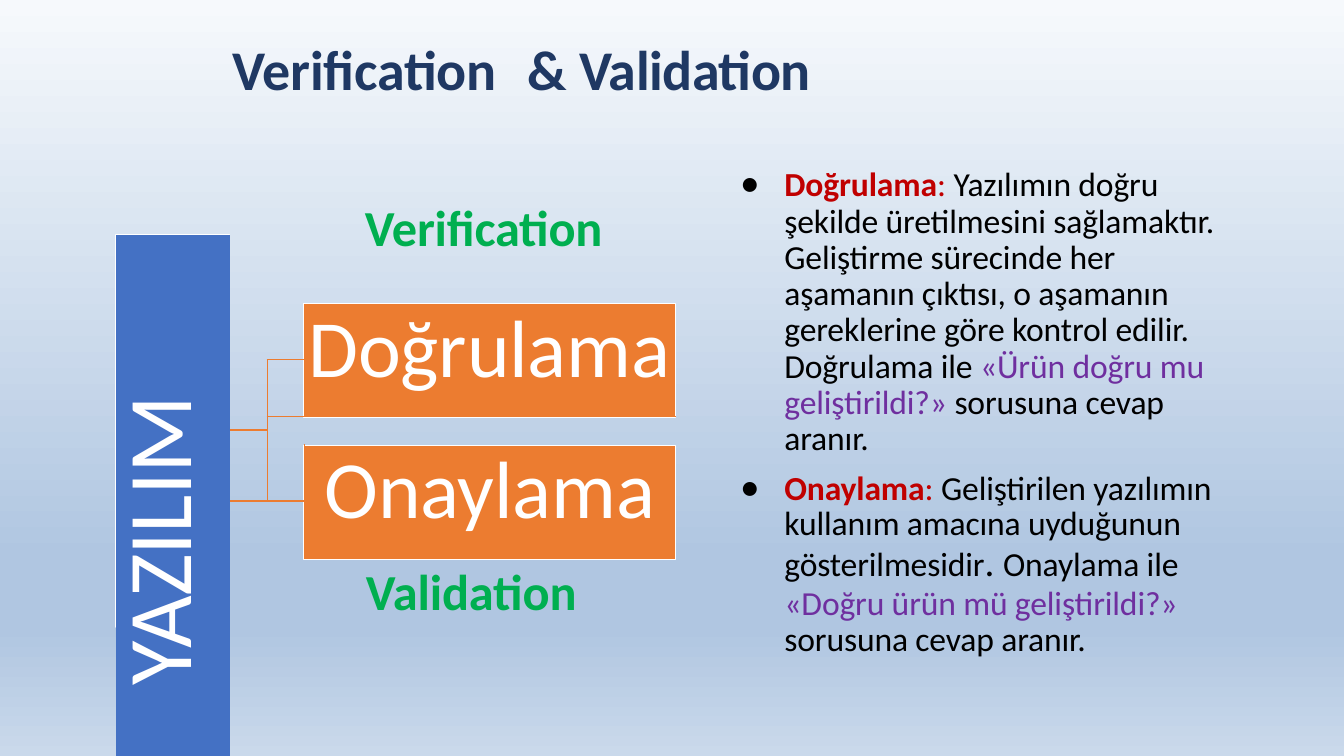
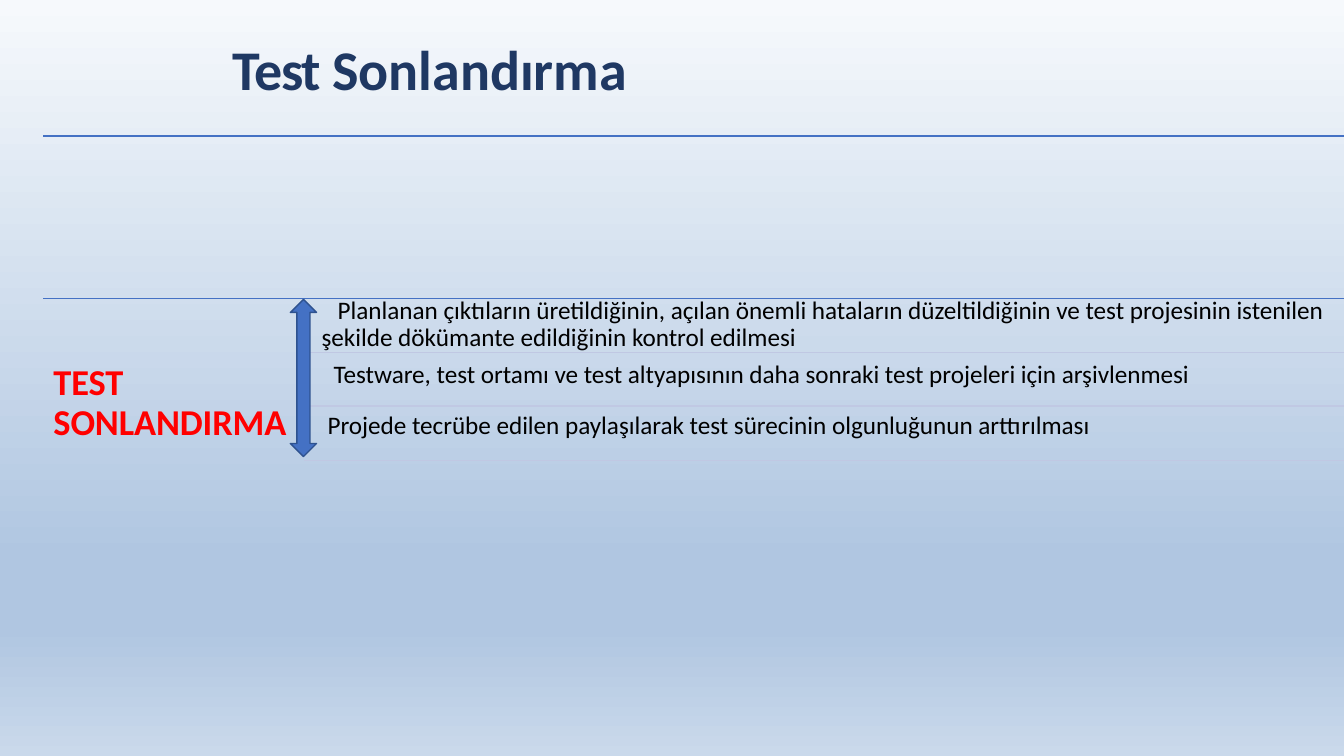
import pptx
import pptx.util
import pptx.dml.color
import pptx.enum.shapes
import pptx.enum.text
import pptx.oxml.ns
import lxml.etree

Inches = pptx.util.Inches
Pt = pptx.util.Pt
qn = pptx.oxml.ns.qn
RGB = pptx.dml.color.RGBColor.from_string
SHAPE = pptx.enum.shapes.MSO_SHAPE
CENTER = pptx.enum.text.PP_ALIGN.CENTER


class Theme:
    font = "Calibri"
    navy, blue, edge = "1F3863", "4471C4", "2E528F"
    orange, green, pale = "EC7C30", "00AF50", "C0C8E3"
    crimson, red, purple = "C00000", "FF0000", "6F2F9F"
    black, white = "000000", "FFFFFF"
    sky = [(0, "F6F9FC"), (74, "B0C6E1"), (83, "B0C6E1"), (100, "CAD9EB")]
    title, side, label, body, point, note = 40, 65, 36, 24, 28, 18
    stage, head = 58, 26
    bare = "{2D5ABB26-0587-4C30-8999-92F81FD0307C}"


def frame(slide, x, y, w, h, top=0.01):
    """Add a wrapping text box with a top inset only; return its text frame."""
    area = slide.shapes.add_textbox(Inches(x), Inches(y), Inches(w), Inches(h)).text_frame
    area.word_wrap = True
    area.margin_left = area.margin_right = area.margin_bottom = 0
    area.margin_top = Inches(top)
    return area


def put(para, text, size, tone, bold=False, gap=-0.1):
    """Add one run; gap is the letter spacing in points."""
    run = para.add_run()
    run.text = text
    run.font.name = Theme.font
    run.font.size = Pt(size)
    run.font.bold = bold
    run.font.color.rgb = RGB(tone)
    run.font._element.set("spc", str(round(gap * 100)))


deck = pptx.Presentation()
deck.slide_width, deck.slide_height = Inches(13.33), Inches(7.5)

# Shared background
fill = deck.slide_master.background.fill
fill.gradient()
fill.gradient_angle = 270
stops = deck.slide_master.element.find(".//" + qn("p:bg")).find(".//" + qn("a:gsLst"))
for stop in list(stops):
    stops.remove(stop)
for place, tone in Theme.sky:
    stop = lxml.etree.SubElement(stops, qn("a:gs"), pos=str(place * 1000))
    lxml.etree.SubElement(stop, qn("a:srgbClr"), val=tone)

# Slides and titles
titles = [
    [("Verification\t", -0.2), ("& ", 0), ("Validation", -0.3)],
    [("Test ", -1), ("Sonlandırma", 0)],
]
slides = []
for runs in titles:
    slide = deck.slides.add_slide(deck.slide_layouts[6])
    para = frame(slide, 2.31, 0.33, 5.79, 0.7).paragraphs[0]
    tabs = lxml.etree.SubElement(para._p.get_or_add_pPr(), qn("a:tabLst"))
    lxml.etree.SubElement(tabs, qn("a:tab"), pos=str(Inches(2.92)), algn="l")
    for text, gap in runs:
        put(para, text, Theme.title, Theme.navy, True, gap)
    slides.append(slide)
first, last = slides

# Rules across the closing slide
rules = [(0.43, 1.35, Theme.blue), (0.43, 2.96, Theme.blue), (3.02, 4.57, Theme.pale)]
for x, y, tone in rules:
    line = last.shapes.add_connector(
        pptx.enum.shapes.MSO_CONNECTOR.STRAIGHT,
        Inches(x), Inches(y), Inches(13.33), Inches(y))
    line.line.color.rgb = RGB(tone)
    line.line.width = Pt(1)
    lxml.etree.SubElement(line._element.spPr, qn("a:effectLst"))

# Pair of separators between the steps
path = last.shapes.build_freeform(Inches(3.02), Inches(3.5))
path.add_line_segments([(Inches(13.33), Inches(3.5))], close=False)
path.move_to(Inches(3.02), Inches(4.03))
path.add_line_segments([(Inches(13.33), Inches(4.03))], close=False)
pair = path.convert_to_shape()
pair.shadow.inherit = False
pair.fill.background()
pair.line.color.rgb = RGB(Theme.pale)
pair.line.width = Pt(1)

# Shapes: slide, kind, box, fill, outline
shapes = [
    (first, SHAPE.RECTANGLE, (1.15, 2.33, 1.13, 3.89), None, Theme.white),
    (first, SHAPE.RECTANGLE, (3.01, 3.01, 3.69, 1.13), Theme.orange, Theme.white),
    (first, SHAPE.RECTANGLE, (3.01, 4.42, 3.69, 1.13), Theme.orange, Theme.white),
    (last, SHAPE.UP_DOWN_ARROW, (2.88, 2.97, 0.26, 1.56), Theme.blue, Theme.edge),
]
for slide, kind, box, tone, edge in shapes:
    shape = slide.shapes.add_shape(kind, *map(Inches, box))
    shape.shadow.inherit = False
    if tone:
        shape.fill.solid()
        shape.fill.fore_color.rgb = RGB(tone)
    else:
        shape.fill.background()
    shape.line.color.rgb = RGB(edge)
    shape.line.width = Pt(1)

para = frame(first, 3.62, 1.94, 2.41, 0.63).paragraphs[0]
put(para, "Verification", Theme.label, Theme.green, True, -0.2)

# Tree table: the borders of its cells are the branches
wide = [1.13, 0.37, 0.37, 3.69]
high = [0.68, 0.56, 0.56, 0.14, 0.14, 0.56, 0.56, 0.68]
grid = first.shapes.add_table(
    len(high), len(wide), Inches(1.15), Inches(2.33),
    Inches(sum(wide)), Inches(sum(high))).table
grid.first_row = grid.horz_banding = False
grid._tbl.tblPr.find(qn("a:tableStyleId")).text = Theme.bare
for col, width in zip(grid.columns, wide):
    col.width = Inches(width)
for row, height in zip(grid.rows, high):
    row.height = Inches(height)

# Spans: first cell, last cell
spans = [
    ((0, 0), (7, 0)), ((0, 1), (0, 3)), ((1, 1), (1, 2)), ((1, 3), (2, 3)),
    ((2, 1), (3, 1)), ((3, 2), (4, 3)), ((4, 1), (5, 1)), ((5, 3), (6, 3)),
    ((6, 1), (6, 2)), ((7, 1), (7, 3)),
]
for start, end in spans:
    grid.cell(*start).merge(grid.cell(*end))

# Borders: cell, then widths by side in the order the format asks for
edges = {
    (2, 1): {"R": 1, "B": 1.5},
    (2, 2): {"L": 1, "T": 1},
    (3, 2): {"L": 1},
    (4, 1): {"R": 1, "T": 1.5},
    (5, 2): {"L": 1, "B": 1},
}
# Words: cell, text, size, colour, indent, line spacing
words = {
    (0, 0): ("YAZILIM", Theme.side, Theme.white, 0, Pt(71.8)),
    (1, 3): ("Doğrulama", Theme.stage, Theme.white, 0.04, Pt(68.4)),
    (5, 3): ("Onaylama", Theme.stage, Theme.white, 0.2, Pt(68.4)),
    (7, 1): ("Validation", Theme.label, Theme.green, 1.35, None),
}
for r in range(len(high)):
    for c in range(len(wide)):
        cell = grid.cell(r, c)
        cell.margin_left = cell.margin_right = cell.margin_top = cell.margin_bottom = 0
        props = cell._tc.get_or_add_tcPr()
        for side, width in edges.get((r, c), {}).items():
            line = lxml.etree.SubElement(props, qn("a:ln" + side), w=str(Pt(width)))
            solid = lxml.etree.SubElement(line, qn("a:solidFill"))
            lxml.etree.SubElement(solid, qn("a:srgbClr"), val=Theme.orange)
        cell.fill.background()
        para = cell.text_frame.paragraphs[0]
        if (r, c) in words:
            text, size, tone, indent, lead = words[r, c]
            para._p.get_or_add_pPr().set("marL", str(Inches(indent)))
            para.line_spacing = lead
            put(para, text, size, tone, size == Theme.label, -0.7 if c == 0 else -0.1)
        else:
            lxml.etree.SubElement(para._p, qn("a:endParaRPr"), sz="100")

bar = grid.cell(0, 0)
bar.fill.solid()
bar.fill.fore_color.rgb = RGB(Theme.blue)
bar._tc.get_or_add_tcPr().set("vert", "vert270")
bar.text_frame.paragraphs[0].alignment = CENTER
grid.cell(7, 1).margin_top = Inches(0.05)

# Definitions: bullet, line spacing, space before, runs
points = [
    (True, Pt(25.9), 0, [
        ("Doğrulama", Theme.crimson), (": ", Theme.crimson),
        ("Yazılımın doğru şekilde üretilmesini sağlamaktır. Geliştirme sürecinde her "
         "aşamanın çıktısı, o aşamanın gereklerine göre kontrol edilir. "
         "Doğrulama ile ", Theme.black),
        ("«Ürün doğru mu geliştirildi?» ", Theme.purple),
        ("sorusuna cevap aranır.", Theme.black)]),
    (True, 0.89, 9.9, [
        ("Onaylama", Theme.crimson), (": ", Theme.crimson),
        ("Geliştirilen yazılımın kullanım amacına uyduğunun gösterilmesidir", Theme.black),
        (". ", Theme.black), ("Onaylama ile", Theme.black)]),
    (False, Pt(25.9), 0.7, [
        ("«Doğru ürün mü geliştirildi?» ", Theme.purple),
        ("sorusuna cevap aranır.", Theme.black)]),
]
area = frame(first, 7.32, 1.6, 4.78, 4.95, 0.06)
for index, (dot, lead, before, runs) in enumerate(points):
    para = area.add_paragraph() if index else area.paragraphs[0]
    props = para._p.get_or_add_pPr()
    props.set("marL", str(Inches(0.46)))
    if dot:
        props.set("indent", str(Inches(-0.44)))
        tint = lxml.etree.SubElement(props, qn("a:buClr"))
        lxml.etree.SubElement(tint, qn("a:srgbClr"), val=Theme.black)
        lxml.etree.SubElement(props, qn("a:buSzPct"), val="117000")
        lxml.etree.SubElement(props, qn("a:buFont"), typeface=Theme.font)
        lxml.etree.SubElement(props, qn("a:buChar"), char="•")
    para.line_spacing = lead
    if before:
        para.space_before = Pt(before)
    for spot, (text, tone) in enumerate(runs):
        size = Theme.point if text == ". " else Theme.body
        put(para, text, size, tone, dot and spot == 0)

# Closing steps
para = frame(last, 0.53, 3.54, 2.35, 0.86, 0.06).paragraphs[0]
para.line_spacing = Pt(28.6)
put(para, "TEST SONLANDIRMA", Theme.head, Theme.red, True)

# Steps: box, top inset, first-line indent, line spacing, text
steps = [
    ((3.19, 2.9, 10, 0.6), 0.04, 0.16, Pt(19.8),
     "Planlanan çıktıların üretildiğinin, açılan önemli hataların düzeltildiğinin ve test "
     "projesinin istenilen şekilde dökümante edildiğinin kontrol edilmesi"),
    ((3.31, 3.55, 8.54, 0.33), 0.01, 0, None,
     "Testware, test ortamı ve test altyapısının daha sonraki test projeleri için arşivlenmesi"),
    ((3.25, 4.05, 7.64, 0.33), 0.01, 0, None,
     "Projede tecrübe edilen paylaşılarak test sürecinin olgunluğunun arttırılması"),
]
for box, top, indent, lead, text in steps:
    para = frame(last, *box, top).paragraphs[0]
    para._p.get_or_add_pPr().set("indent", str(Inches(indent)))
    para.line_spacing = lead
    put(para, text, Theme.note, Theme.black, gap=-0.03)

deck.save("out.pptx")
